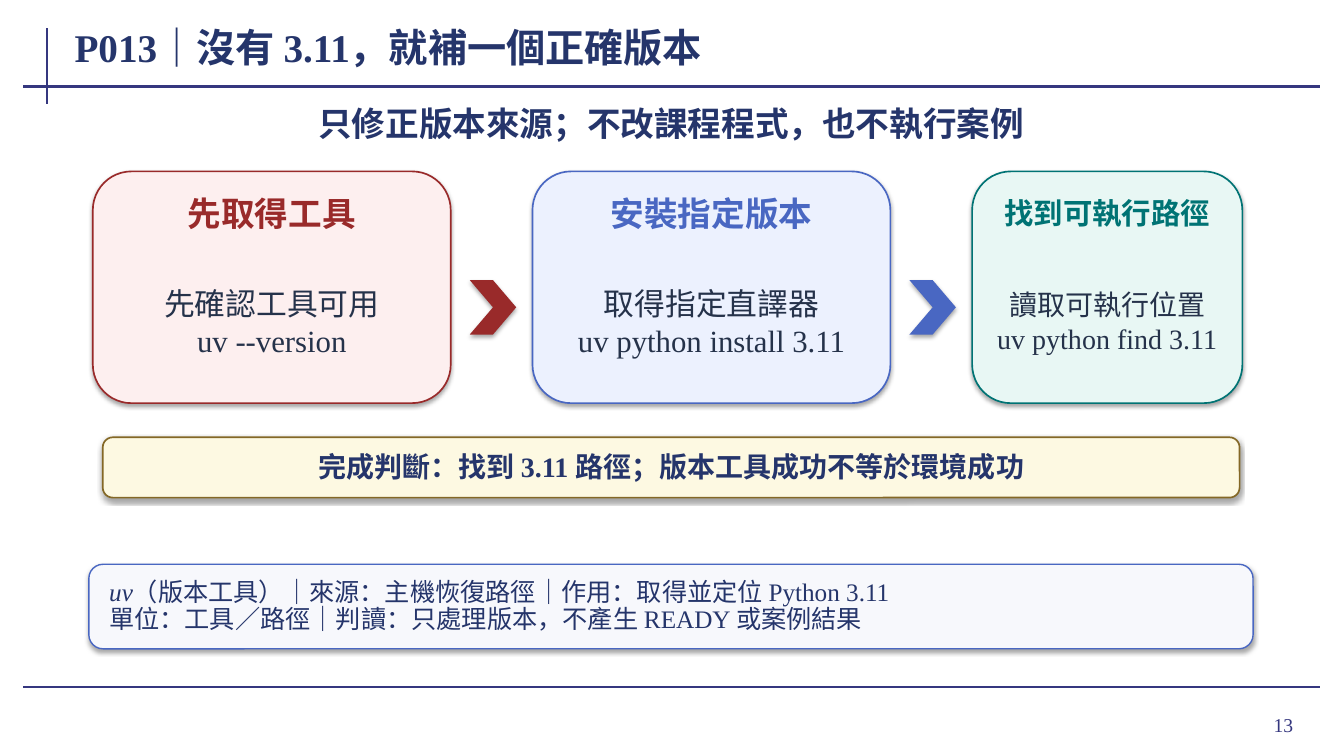
from lxml import etree
from pptx import Presentation
from pptx.dml.color import RGBColor
from pptx.enum import shapes, text
from pptx.oxml.ns import qn
from pptx.util import Cm, Pt

FONT = "Times New Roman"
NAVY = RGBColor(0x25, 0x35, 0x6B)
RULE = RGBColor(0x35, 0x37, 0x7F)
BODY = RGBColor(0x25, 0x32, 0x4A)
RED, PINK = RGBColor(0x99, 0x2A, 0x2A), RGBColor(0xFD, 0xEF, 0xEF)
BLUE, PALE_BLUE = RGBColor(0x49, 0x67, 0xC2), RGBColor(0xEC, 0xF1, 0xFE)
TEAL, MINT = RGBColor(0x00, 0x73, 0x74), RGBColor(0xE8, 0xF7, 0xF4)
GOLD, CREAM = RGBColor(0x84, 0x68, 0x26), RGBColor(0xFD, 0xF9, 0xE2)
GREY = RGBColor(0xF7, 0xF8, 0xFC)

CARD_TOP, CARD_HEIGHT, CARD_GAP = 4.32, 5.84, 2.06
# width, colour, fill, heading size, body size, heading, body lines
CARDS = [
    (9.02, RED, PINK, 24, 22, "先取得工具",
     ["先確認工具可用", "uv --version"]),
    (9.02, BLUE, PALE_BLUE, 24, 22, "安裝指定版本",
     ["取得指定直譯器", "uv python install 3.11"]),
    (6.81, TEAL, MINT, 21, 20, "找到可執行路徑",
     ["讀取可執行位置", "uv python find 3.11"]),
]


def write(sp, lines, size, color, bold=False, align=text.PP_ALIGN.CENTER,
          inset=(0.05, 0.03), spacing=None):
    """Fill a shape; each line is a string or a list of (text, italic) runs."""
    tf = sp.text_frame
    tf.word_wrap = True
    tf.auto_size = text.MSO_AUTO_SIZE.NONE
    tf.vertical_anchor = text.MSO_ANCHOR.MIDDLE
    tf.margin_left = tf.margin_right = Cm(inset[0])
    tf.margin_top = tf.margin_bottom = Cm(inset[1])
    for i, line in enumerate(lines):
        p = tf.add_paragraph() if i else tf.paragraphs[0]
        p.alignment = align
        p.line_spacing = spacing
        p.font.name, p.font.size, p.font.bold = FONT, Pt(size), bold
        p.font.color.rgb = color
        for content, italic in [(line, None)] if isinstance(line, str) else line:
            r = p.add_run()
            r.text = content
            r.font.italic = italic


def add_text(s, x, y, w, h, lines, size, color, **style):
    write(s.shapes.add_textbox(Cm(x), Cm(y), Cm(w), Cm(h)),
          lines, size, color, **style)


def add_panel(s, x, y, w, h, fill, line=None, line_width=1.2,
              kind=shapes.MSO_SHAPE.ROUNDED_RECTANGLE):
    """Filled shape that keeps the theme's soft shadow."""
    sp = s.shapes.add_shape(kind, Cm(x), Cm(y), Cm(w), Cm(h))
    sp.fill.solid()
    sp.fill.fore_color.rgb = fill
    if line is None:
        sp.line.fill.background()
    else:
        sp.line.color.rgb = line
        sp.line.width = Pt(line_width)
    return sp


def add_rule(s, x1, y1, x2, y2):
    rule = s.shapes.add_connector(shapes.MSO_CONNECTOR.STRAIGHT,
                                  Cm(x1), Cm(y1), Cm(x2), Cm(y2))
    rule.line.color.rgb = RULE
    rule.line.width = Pt(1.5)
    etree.SubElement(rule._element.spPr, qn("a:effectLst"))


def add_title(s, content):
    title = s.shapes.title
    title.left, title.top, title.width, title.height = (
        Cm(1.83), Cm(0.51), Cm(26.29), Cm(1.35))
    write(title, [content], 28, NAVY, bold=True,
          align=text.PP_ALIGN.LEFT, inset=(0.05, 0))


def add_cards(s):
    x = 2.34
    for i, (w, color, fill, head_size, body_size, heading, body) in enumerate(CARDS):
        add_panel(s, x, CARD_TOP, w, CARD_HEIGHT, fill, color)
        add_text(s, x + 0.46, 4.83, w - 0.92, 1.07, [heading],
                 head_size, color, bold=True)
        add_text(s, x + 0.56, 6.55, w - 1.12, 3.1, body, body_size, BODY)
        if i < len(CARDS) - 1:
            add_panel(s, x + w + 0.48, 7.06, 1.17, 1.37, color,
                      kind=shapes.MSO_SHAPE.CHEVRON)
        x += w + CARD_GAP


def main():
    prs = Presentation()
    prs.slide_width, prs.slide_height = Cm(33.87), Cm(19.05)
    s = prs.slides.add_slide(prs.slide_layouts[5])

    # Frame rules and page number
    add_rule(s, 1.19, 0.71, 1.19, 2.62)
    for y in (2.18, 17.32):
        add_rule(s, 0.58, y, 33.27, y)
    add_text(s, 30.38, 17.6, 2.46, 1.32, ["13"], 14, RULE,
             align=text.PP_ALIGN.RIGHT, inset=(0.25, 0.13))

    # Title and key message
    add_title(s, "P013｜沒有 3.11，就補一個正確版本")
    add_text(s, 2.59, 2.59, 28.65, 1.02,
             ["只修正版本來源；不改課程程式，也不執行案例"], 24, NAVY, bold=True)

    # Three steps
    add_cards(s)

    # Completion check
    check = add_panel(s, 2.59, 11.02, 28.65, 1.52, CREAM, GOLD)
    write(check, ["完成判斷：找到 3.11 路徑；版本工具成功不等於環境成功"],
          20, NAVY, bold=True, inset=(0.25, 0.1), spacing=0.95)

    # Explanatory note
    note = add_panel(s, 2.24, 14.22, 29.34, 2.13, GREY, BLUE, line_width=1)
    write(note, [
        [("uv", True),
         ("（版本工具）｜來源：主機恢復路徑｜作用：取得並定位 Python 3.11", None)],
        "單位：工具／路徑｜判讀：只處理版本，不產生 READY 或案例結果",
    ], 18, NAVY, align=text.PP_ALIGN.LEFT, inset=(0.41, 0.1), spacing=0.9)

    prs.save("out.pptx")


if __name__ == "__main__":
    main()
